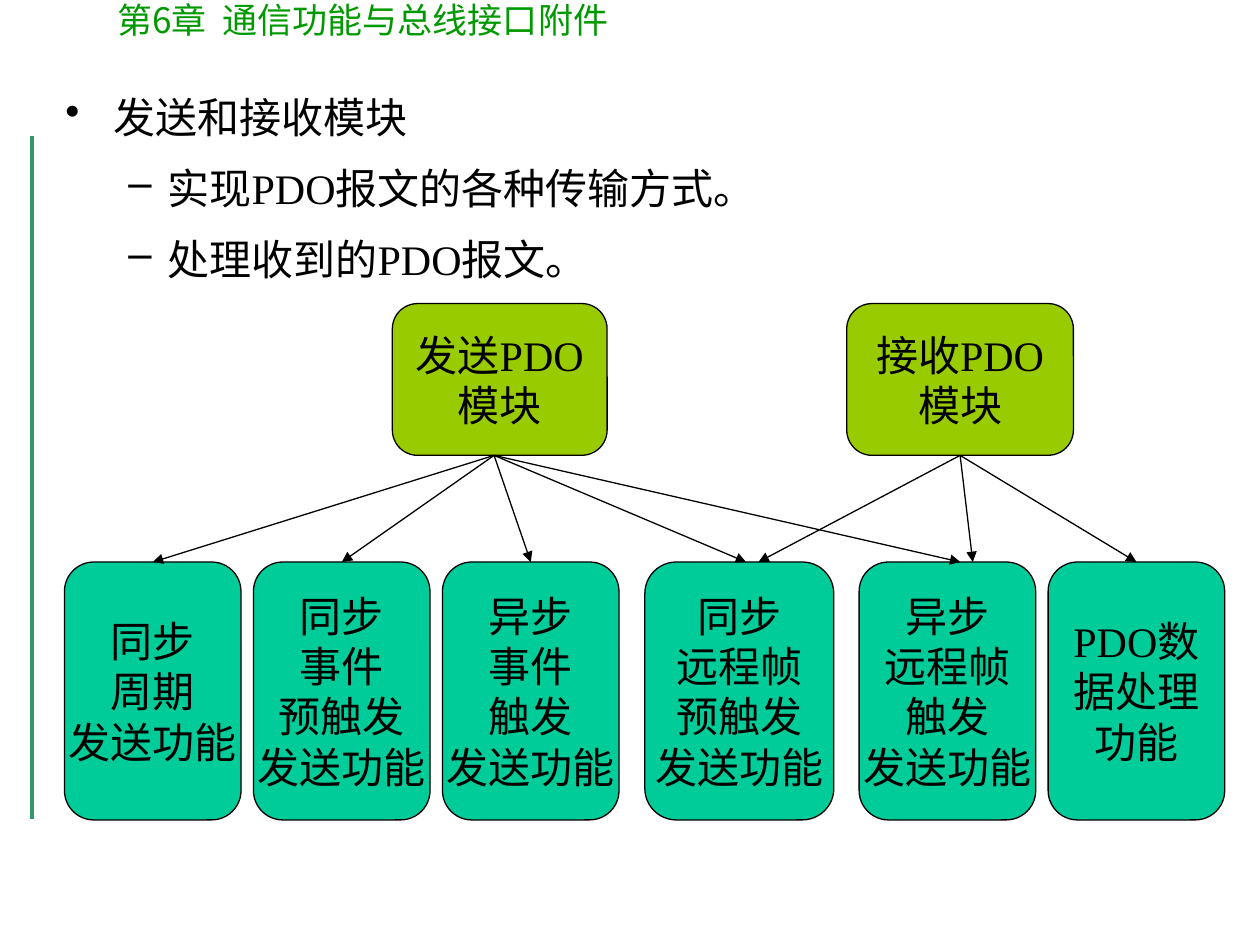
from dataclasses import dataclass

from lxml.etree import SubElement
from pptx import Presentation
from pptx.dml.color import RGBColor
from pptx.enum.shapes import MSO_CONNECTOR, MSO_SHAPE
from pptx.enum.text import MSO_ANCHOR, MSO_AUTO_SIZE, PP_ALIGN
from pptx.oxml.ns import qn
from pptx.shapes.autoshape import Shape
from pptx.shapes.connector import Connector
from pptx.slide import Slide
from pptx.text.text import TextFrame
from pptx.util import Cm, Pt


@dataclass(frozen=True)
class Theme:
    ink: str = "000000"
    head: str = "009900"
    rule: str = "339966"
    module: str = "99CC00"
    task: str = "00CC99"
    latin: str = "Times New Roman"
    asian: str = "Noto Sans CJK SC"
    small: float = 20
    body: float = 24
    thin: float = 0.75
    thick: float = 2.25


@dataclass(frozen=True)
class Box:
    text: str
    left: float
    top: float
    width: float
    height: float
    fill: str


@dataclass(frozen=True)
class Bullet:
    text: str
    mark: str
    level: int
    margin: float
    hang: float


THEME = Theme()
TOP, TALL = 11.33, 5.2
WIDE, PITCH = 3.56, 3.81
FIRST, MIDDLE, LAST = 1.3, 13.0, 17.32

BULLETS = [
    Bullet("发送和接收模块", "•", 0, 0.97, 0.97),
    Bullet("实现PDO报文的各种传输方式。", "–", 1, 2.06, 0.79),
    Bullet("处理收到的PDO报文。", "–", 1, 2.06, 0.79),
]
SEND = Box("发送PDO\n模块", 7.91, 6.12, 4.33, 3.06, THEME.module)
RECEIVE = Box("接收PDO\n模块", 17.07, 6.12, 4.57, 3.06, THEME.module)
TASKS = [
    Box(text, left, TOP, width, TALL, THEME.task)
    for text, left, width in [
        ("同步\n周期\n发送功能", FIRST, WIDE),
        ("同步\n事件\n预触发\n发送功能", FIRST + PITCH, WIDE),
        ("异步\n事件\n触发\n发送功能", FIRST + 2 * PITCH, WIDE),
        ("同步\n远程帧\n预触发\n发送功能", MIDDLE, PITCH),
        ("异步\n远程帧\n触发\n发送功能", LAST, WIDE),
        ("PDO数\n据处理\n功能", LAST + PITCH, WIDE),
    ]
]
# Task number and arrow tip; no tip means the middle of the task's top side.
SENT = [(0, None), (1, None), (2, None), (3, 15.04), (4, 19.36)]
RECEIVED = [(3, 15.29), (4, 19.61), (5, None)]
SEND_X = 9.96


def write(frame: TextFrame, text: str, *, size: float = THEME.body,
          color: str = THEME.ink, latin: str = THEME.latin,
          align: PP_ALIGN = PP_ALIGN.LEFT, anchor: MSO_ANCHOR = MSO_ANCHOR.TOP,
          wrap: bool = True, line: float = 1.0, before: float = 0) -> None:
    """Fill a frame, one paragraph for each line of text."""
    frame.text = text
    frame.auto_size = MSO_AUTO_SIZE.NONE
    frame.word_wrap = wrap
    frame.vertical_anchor = anchor
    for index, para in enumerate(frame.paragraphs):
        para.alignment = align
        para.line_spacing = line
        para.space_before = Pt(before if index else 0)
        for run in para.runs:
            run.font.size = Pt(size)
            run.font.color.rgb = RGBColor.from_string(color)
            run.font.name = latin
            SubElement(run.font._element, qn("a:ea"), typeface=THEME.asian)


def draw_list(slide: Slide, items: list[Bullet]) -> None:
    frame = slide.shapes.add_textbox(Cm(1.07), Cm(1.52), Cm(22.86), Cm(6.2)).text_frame
    write(frame, "\n".join(item.text for item in items), line=1.2, before=6)
    for para, item in zip(frame.paragraphs, items):
        para.level = item.level
        props = para._p.get_or_add_pPr()
        props.set("marL", str(Cm(item.margin)))
        props.set("indent", str(-Cm(item.hang)))
        SubElement(props, qn("a:buChar"), char=item.mark)


def draw_box(slide: Slide, box: Box) -> Shape:
    shape = slide.shapes.add_shape(MSO_SHAPE.ROUNDED_RECTANGLE, Cm(box.left),
                                   Cm(box.top), Cm(box.width), Cm(box.height))
    shape.shadow.inherit = False
    shape.fill.solid()
    shape.fill.fore_color.rgb = RGBColor.from_string(box.fill)
    shape.line.color.rgb = RGBColor.from_string(THEME.ink)
    shape.line.width = Pt(THEME.thin)
    write(shape.text_frame, box.text, align=PP_ALIGN.CENTER,
          anchor=MSO_ANCHOR.MIDDLE, wrap=False)
    return shape


def draw_line(slide: Slide, start: tuple[float, float], end: tuple[float, float], *,
              color: str = THEME.ink, width: float = THEME.thin,
              arrow: bool = False) -> Connector:
    link = slide.shapes.add_connector(MSO_CONNECTOR.STRAIGHT, Cm(start[0]),
                                      Cm(start[1]), Cm(end[0]), Cm(end[1]))
    link.line.color.rgb = RGBColor.from_string(color)
    link.line.width = Pt(width)
    if arrow:
        SubElement(link.line._get_or_add_ln(), qn("a:tailEnd"), type="triangle")
    SubElement(link._element.spPr, qn("a:effectLst"))
    return link


def draw_fan(slide: Slide, start: tuple[float, float], tips: list,
             tasks: list[Shape], source: Shape | None = None) -> None:
    """Draw arrows from one point, joined to source where one is given."""
    for number, tip in tips:
        link = draw_line(slide, start, (tip or start[0], TOP), arrow=True)
        if source is not None:
            link.begin_connect(source, 2)
        if tip is None:
            link.end_connect(tasks[number], 0)


def main() -> None:
    deck = Presentation()
    deck.slide_width, deck.slide_height = Cm(25.4), Cm(19.05)
    slide = deck.slides.add_slide(deck.slide_layouts[5])

    title = slide.shapes.title
    title.left, title.top, title.width, title.height = Cm(2.11), Cm(-0.15), Cm(14.6), Cm(1.12)
    write(title.text_frame, "第6章  通信功能与总线接口附件", size=THEME.small,
          color=THEME.head, latin=THEME.asian)

    draw_line(slide, (0.64, 2.75), (0.64, 16.51), color=THEME.rule, width=THEME.thick)
    draw_list(slide, BULLETS)
    draw_box(slide, SEND)
    receive = draw_box(slide, RECEIVE)
    tasks = [draw_box(slide, task) for task in TASKS]

    base = SEND.top + SEND.height
    draw_fan(slide, (SEND_X, base), SENT, tasks)
    draw_fan(slide, (RECEIVE.left + RECEIVE.width / 2, base), RECEIVED, tasks, receive)
    deck.save("out.pptx")


if __name__ == "__main__":
    main()
